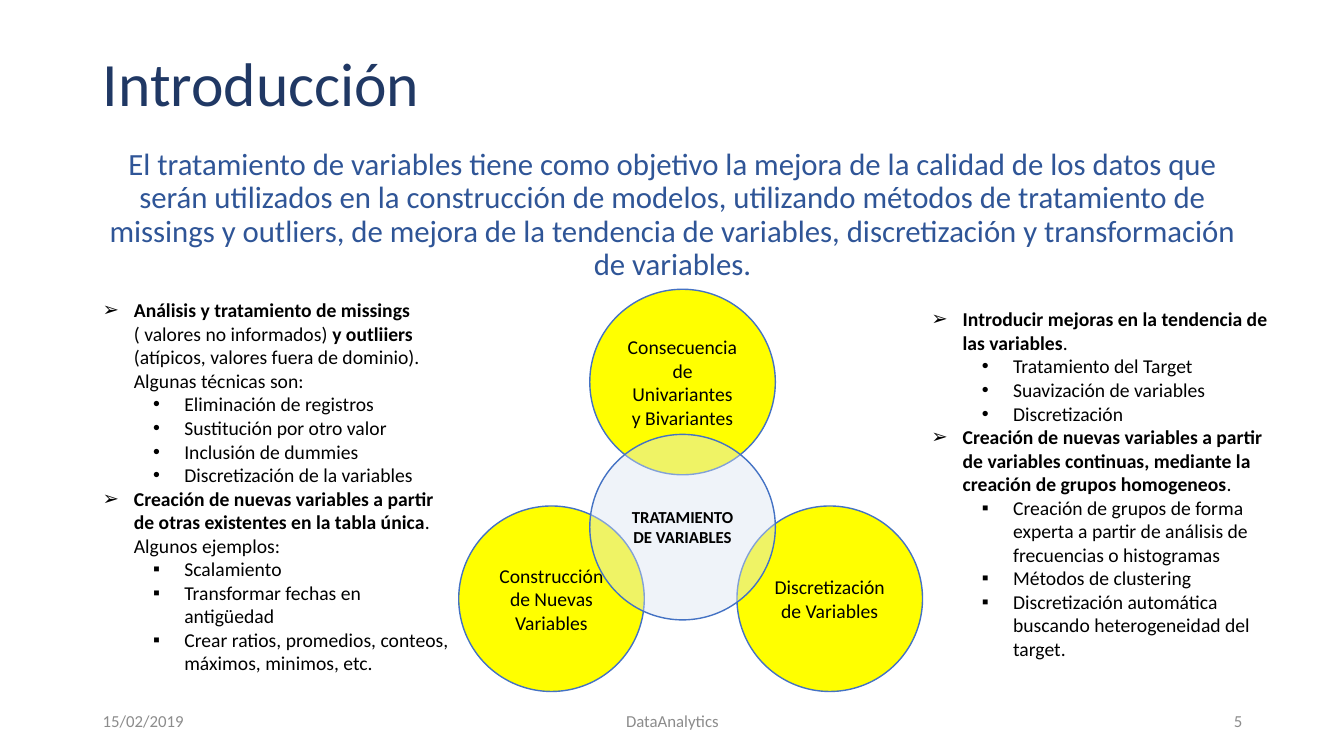
from dataclasses import dataclass

from lxml import etree
from pptx import Presentation
from pptx.dml.color import RGBColor
from pptx.enum.shapes import MSO_SHAPE
from pptx.enum.text import MSO_ANCHOR, MSO_AUTO_SIZE, PP_ALIGN
from pptx.oxml.ns import qn
from pptx.util import Pt

PX = 9144  # 100 px to the inch
FONT = "Calibri"
NAVY = RGBColor(0x20, 0x38, 0x64)
BLUE = RGBColor(0x2F, 0x55, 0x97)
OUTLINE = RGBColor(0x44, 0x72, 0xC4)
YELLOW = RGBColor(0xFF, 0xFF, 0x00)
PALE = RGBColor(0xDA, 0xE3, 0xF3)
GRAY = RGBColor(0x8C, 0x8C, 0x8C)
BLACK = RGBColor(0x00, 0x00, 0x00)
LEFT, CENTER, RIGHT = PP_ALIGN.LEFT, PP_ALIGN.CENTER, PP_ALIGN.RIGHT
TOP, MIDDLE = MSO_ANCHOR.TOP, MSO_ANCHOR.MIDDLE
NO_FIT, GROW = MSO_AUTO_SIZE.NONE, MSO_AUTO_SIZE.SHAPE_TO_FIT_TEXT
ELLIPSE = MSO_SHAPE.OVAL
DIAMETER = 184
ARROW, DOT, SQUARE = "➢", "•", "▪"


@dataclass
class Label:
    text: str
    left: int
    top: int
    width: int
    height: int
    size: int
    color: RGBColor
    align: PP_ALIGN = LEFT
    anchor: MSO_ANCHOR = MIDDLE
    spacing: float = 1.0


@dataclass
class Circle:
    text: str
    left: int
    top: int
    fill: RGBColor = YELLOW
    opacity: int = 100
    size: int = 14
    bold: bool = False


@dataclass
class Topic:
    spans: list[tuple[str, bool]]  # text, bold
    bullet: str
    items: list[str]


@dataclass
class Column:
    left: int
    top: int
    height: int
    topics: list[Topic]


TITLE = Label("Introducción", 92, 40, 1150, 92, 44, NAVY, spacing=0.9)
LABELS = [
    Label("El tratamiento de variables tiene como objetivo la mejora de la calidad de los datos "
          "que serán utilizados en la construcción de modelos, utilizando métodos de tratamiento "
          "de missings y outliers, de mejora de la tendencia de variables, discretización y "
          "transformación de variables.", 92, 143, 1150, 136, 22, BLUE, CENTER, TOP, 0.9),
    Label("15/02/2019", 92, 695, 300, 40, 12, GRAY),
    Label("DataAnalytics", 442, 695, 450, 40, 12, GRAY, CENTER),
    Label("5", 942, 695, 300, 40, 12, GRAY, RIGHT),
]
CIRCLES = [
    Circle("Consecuencia de Univariantes y Bivariantes", 585, 287),
    Circle("Construcción de Nuevas Variables", 455, 502),
    Circle("Discretización de Variables", 731, 502),
    Circle("TRATAMIENTO DE VARIABLES", 585, 431, PALE, 42, 12, True),
]
COLUMNS = [
    Column(92, 291, 387, [
        Topic([("Análisis y tratamiento de missings ", True), ("( valores no informados) ", False),
               ("y outliiers ", True),
               ("(atípicos, valores fuera de dominio). Algunas técnicas son:", False)], DOT,
              ["Eliminación de registros", "Sustitución por otro valor",
               "Inclusión de dummies", "Discretización de la variables"]),
        Topic([("Creación de nuevas variables a partir de otras existentes en la tabla única", True),
               (". Algunos ejemplos:", False)], SQUARE,
              ["Scalamiento", "Transformar fechas en antigüedad",
               "Crear ratios, promedios, conteos, máximos, minimos, etc."]),
    ]),
    Column(914, 300, 364, [
        Topic([("Introducir mejoras en la tendencia de las variables", True), (".", False)], DOT,
              ["Tratamiento del Target", "Suavización de variables", "Discretización"]),
        Topic([("Creación de nuevas variables a partir de variables continuas, mediante la "
                "creación de grupos homogeneos", True), (".", False)], SQUARE,
              ["Creación de grupos de forma experta a partir de análisis de frecuencias o "
               "histogramas", "Métodos de clustering",
               "Discretización automática buscando heterogeneidad del target."]),
    ]),
]


def format_para(para, size: int, color: RGBColor, align: PP_ALIGN = LEFT) -> None:
    para.alignment = align
    para.font.name = FONT
    para.font.size = Pt(size)
    para.font.color.rgb = color


def fill_label(box, label: Label) -> None:
    box.left, box.top = label.left * PX, label.top * PX
    box.width, box.height = label.width * PX, label.height * PX
    frame = box.text_frame
    frame.text = label.text
    frame.word_wrap = True
    frame.auto_size = NO_FIT
    frame.vertical_anchor = label.anchor
    para = frame.paragraphs[0]
    para.line_spacing = label.spacing
    format_para(para, label.size, label.color, label.align)


def add_circle(page, circle: Circle) -> None:
    shape = page.shapes.add_shape(
        ELLIPSE, circle.left * PX, circle.top * PX, DIAMETER * PX, DIAMETER * PX)
    shape.shadow.inherit = False
    shape.fill.solid()
    shape.fill.fore_color.rgb = circle.fill
    if circle.opacity < 100:
        color = shape.fill._xPr.find(qn("a:solidFill"))[0]
        etree.SubElement(color, qn("a:alpha"), val=str(circle.opacity * 1000))
    shape.line.color.rgb = OUTLINE
    shape.line.width = Pt(1)
    frame = shape.text_frame
    frame.text = circle.text
    frame.word_wrap = True
    frame.vertical_anchor = MIDDLE
    para = frame.paragraphs[0]
    format_para(para, circle.size, BLACK, CENTER)
    para.font.bold = circle.bold


def write_bullet(para, bullet: str, level: int, spans: list[tuple[str, bool]]) -> None:
    para.level = level
    properties = para._p.get_or_add_pPr()
    properties.set("marL", str((31 + 50 * level) * PX))
    properties.set("indent", str(-31 * PX))
    etree.SubElement(properties, qn("a:buFont"), typeface="Arial")
    etree.SubElement(properties, qn("a:buChar"), char=bullet)
    format_para(para, 14, BLACK)
    for text, bold in spans:
        span = para.add_run()
        span.text = text
        span.font.bold = bold


def add_column(page, column: Column) -> None:
    box = page.shapes.add_textbox(
        column.left * PX, column.top * PX, 363 * PX, column.height * PX)
    frame = box.text_frame
    frame.word_wrap = True
    frame.auto_size = GROW
    for index, topic in enumerate(column.topics):
        para = frame.add_paragraph() if index else frame.paragraphs[0]
        write_bullet(para, ARROW, 0, topic.spans)
        for item in topic.items:
            write_bullet(frame.add_paragraph(), topic.bullet, 1, [(item, False)])


def main() -> None:
    deck = Presentation()
    deck.slide_width, deck.slide_height = 1333 * PX, 750 * PX
    page = deck.slides.add_slide(deck.slide_layouts[5])

    # Title, summary and footer
    fill_label(page.shapes.title, TITLE)
    for label in LABELS:
        fill_label(page.shapes.add_textbox(0, 0, PX, PX), label)

    # Overlapping circles
    for circle in CIRCLES:
        add_circle(page, circle)

    # Bulleted columns
    for column in COLUMNS:
        add_column(page, column)

    deck.save("out.pptx")


if __name__ == "__main__":
    main()
